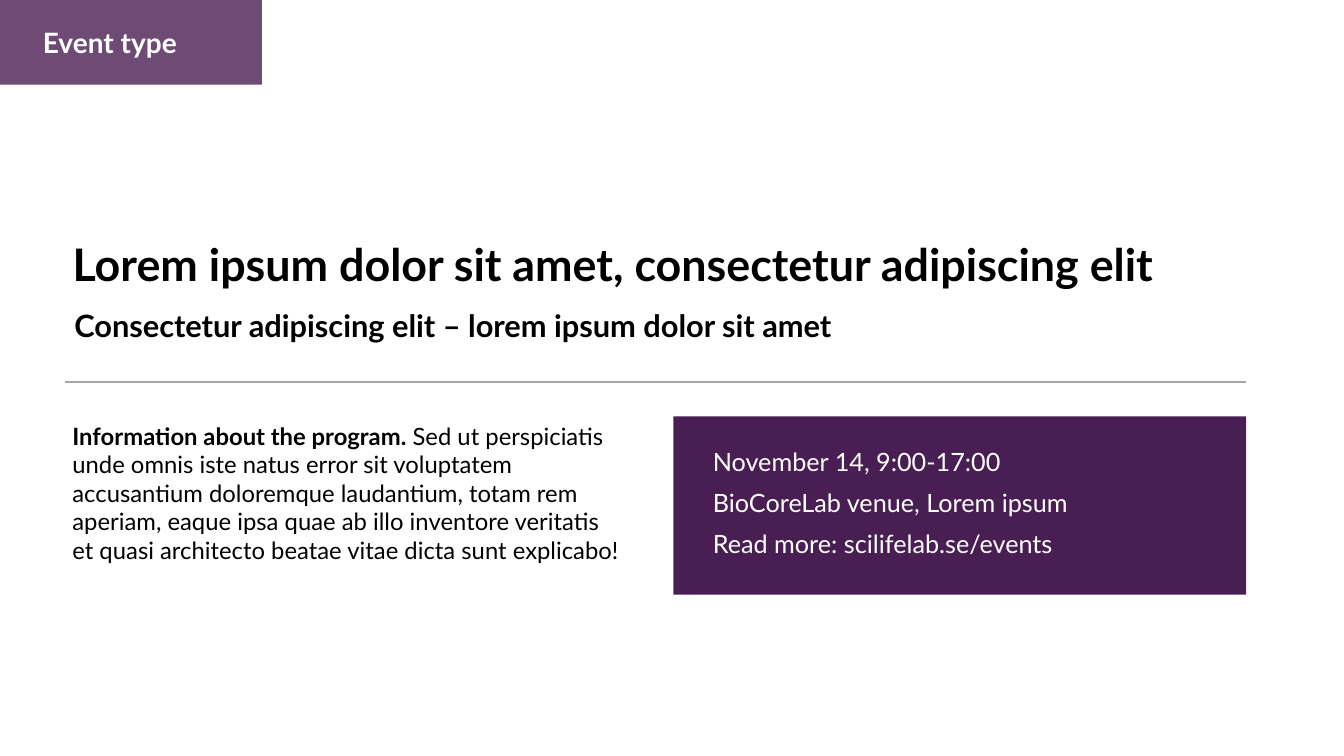
from pptx import Presentation
from pptx.dml.color import RGBColor
from pptx.enum.shapes import MSO_CONNECTOR, MSO_SHAPE
from pptx.enum.text import MSO_ANCHOR, MSO_AUTO_SIZE, PP_ALIGN
from pptx.oxml.ns import qn
from pptx.util import Inches, Pt
from lxml.etree import SubElement

FONT = "Lato"
COLORS = {"plum": "491F53", "text": "000000", "light": "FFFFFF", "rule": "A6A6A6"}
WIDTH, HEIGHT = Inches(13.33), Inches(7.5)
COL, ROW = WIDTH / 100, HEIGHT / 100  # all boxes are in hundredths of the slide


def emu(box):
    x, y, w, h = box
    return [round(v) for v in (x * COL, y * ROW, w * COL, h * ROW)]


def color(name):
    return RGBColor.from_string(COLORS[name])


def place(sp, box):
    sp.left, sp.top, sp.width, sp.height = emu(box)


def write(sp, paragraphs, size, ink="text", align=PP_ALIGN.LEFT,
          anchor=MSO_ANCHOR.TOP, spacing=None, before=0):
    """Fill a shape with paragraphs, each a list of (text, bold) runs."""
    tf = sp.text_frame
    tf.word_wrap = True
    tf.auto_size = MSO_AUTO_SIZE.NONE
    tf.vertical_anchor = anchor
    for i, runs in enumerate(paragraphs):
        p = tf.add_paragraph() if i else tf.paragraphs[0]
        p.alignment = align
        p.line_spacing = spacing
        p.space_before = Pt(before if i else 0)
        for text, bold in runs:
            r = p.add_run()
            r.text = text
            r.font.name, r.font.size, r.font.bold = FONT, Pt(size), bold
            r.font.color.rgb = color(ink)


def add_panel(s, box, alpha=None):
    sp = s.shapes.add_shape(MSO_SHAPE.RECTANGLE, *emu(box))
    sp.shadow.inherit = False
    sp.fill.solid()
    sp.fill.fore_color.rgb = color("plum")
    sp.line.fill.background()
    if alpha:
        clr = sp.element.spPr.find(qn("a:solidFill")).find(qn("a:srgbClr"))
        SubElement(clr, qn("a:alpha")).set("val", str(alpha * 1000))


def add_event_tag(s, box):
    x, y, w, h = box
    add_panel(s, box, alpha=80)
    label = s.shapes.add_textbox(*emu((x + 1.35, y + 2.67, w * 0.7, h * 0.52)))
    write(label, [[("Event type", True)]], 20, "light", PP_ALIGN.CENTER,
          MSO_ANCHOR.BOTTOM, 0.9)


def add_heading(s, box):
    x, y, w, h = box
    title = s.shapes.title
    place(title, (x, y, w, 14.67))
    write(title, [[("Lorem ipsum dolor sit amet, consectetur adipiscing elit", True)]],
          32, anchor=MSO_ANCHOR.BOTTOM, spacing=0.9)
    tagline = s.shapes.add_textbox(*emu((x + 0.15, y + 15.33, 84.32, 6.27)))
    write(tagline, [[("Consectetur adipiscing elit – lorem ipsum dolor sit amet", True)]], 22)
    left, bottom, length, _ = emu((x + 0.15, y + h, 87.92, 0))
    rule = s.shapes.add_connector(MSO_CONNECTOR.STRAIGHT, left, bottom,
                                  left + length, bottom)
    rule.line.color.rgb = color("rule")
    rule.line.width = Pt(1)
    SubElement(rule.element.spPr, qn("a:effectLst"))


def add_program(s, box):
    program = s.shapes.add_textbox(*emu(box))
    write(program, [[
        ("Information about the program. ", True),
        ("Sed ut perspiciatis unde omnis iste natus error sit voluptatem "
         "accusantium doloremque laudantium, totam rem aperiam, eaque ipsa quae "
         "ab illo inventore veritatis et quasi architecto beatae vitae dicta "
         "sunt explicabo!", False)]], 17)


def add_details(s, box):
    x, y, w, h = box
    add_panel(s, box)
    details = s.placeholders[1]
    place(details, (x + 2.18, y + 3.73, w, h * 0.72))
    lines = ["November 14, 9:00-17:00", "BioCoreLab venue, Lorem ipsum",
             "Read more: scilifelab.se/events"]
    write(details, [[(line, False)] for line in lines], 18, "light",
          spacing=0.9, before=10)
    s.shapes.element.append(details.element)  # bring the text above its panel


def main():
    prs = Presentation()
    prs.slide_width, prs.slide_height = WIDTH, HEIGHT
    s = prs.slides.add_slide(prs.slide_layouts[0])
    add_event_tag(s, (0, 0, 19.5, 11.2))
    add_heading(s, (4.65, 24.53, 90.85, 26))
    add_program(s, (4.65, 55.07, 42.24, 20.4))
    add_details(s, (50.11, 55.07, 42.61, 23.6))
    prs.save("out.pptx")


if __name__ == "__main__":
    main()
